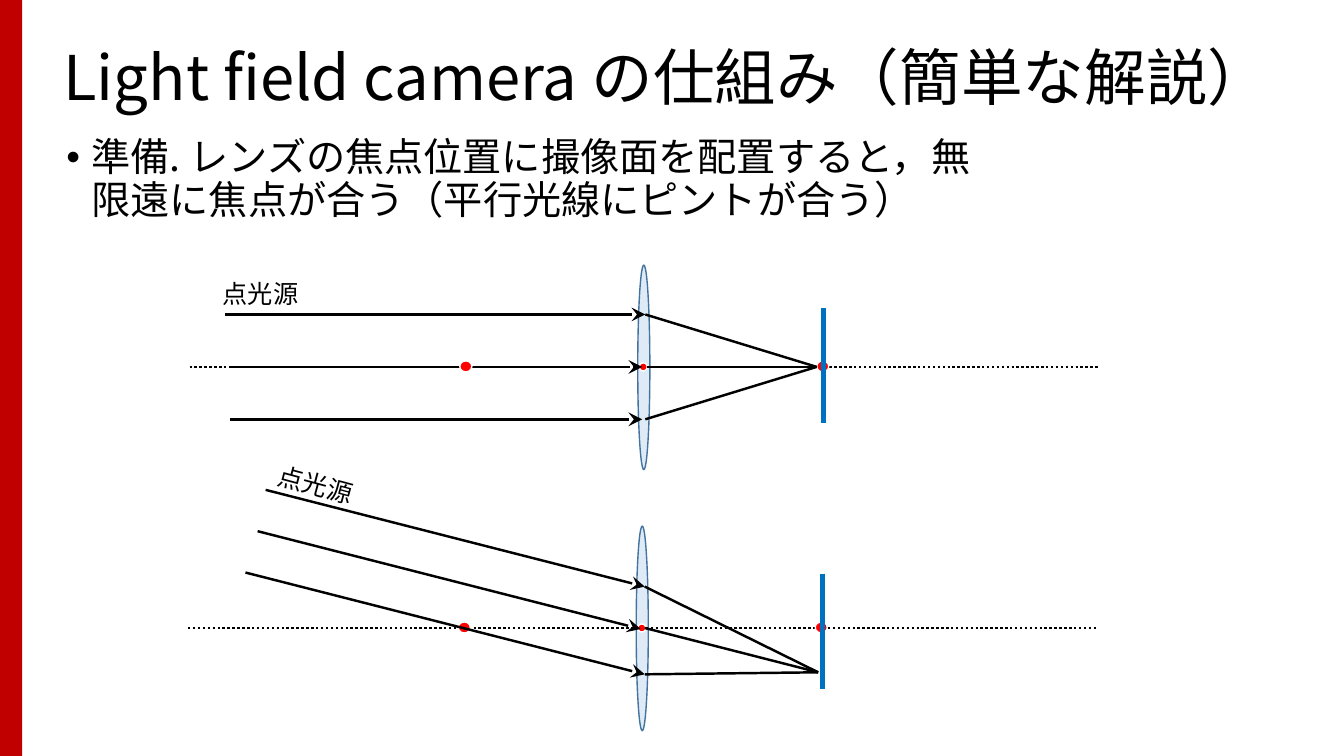
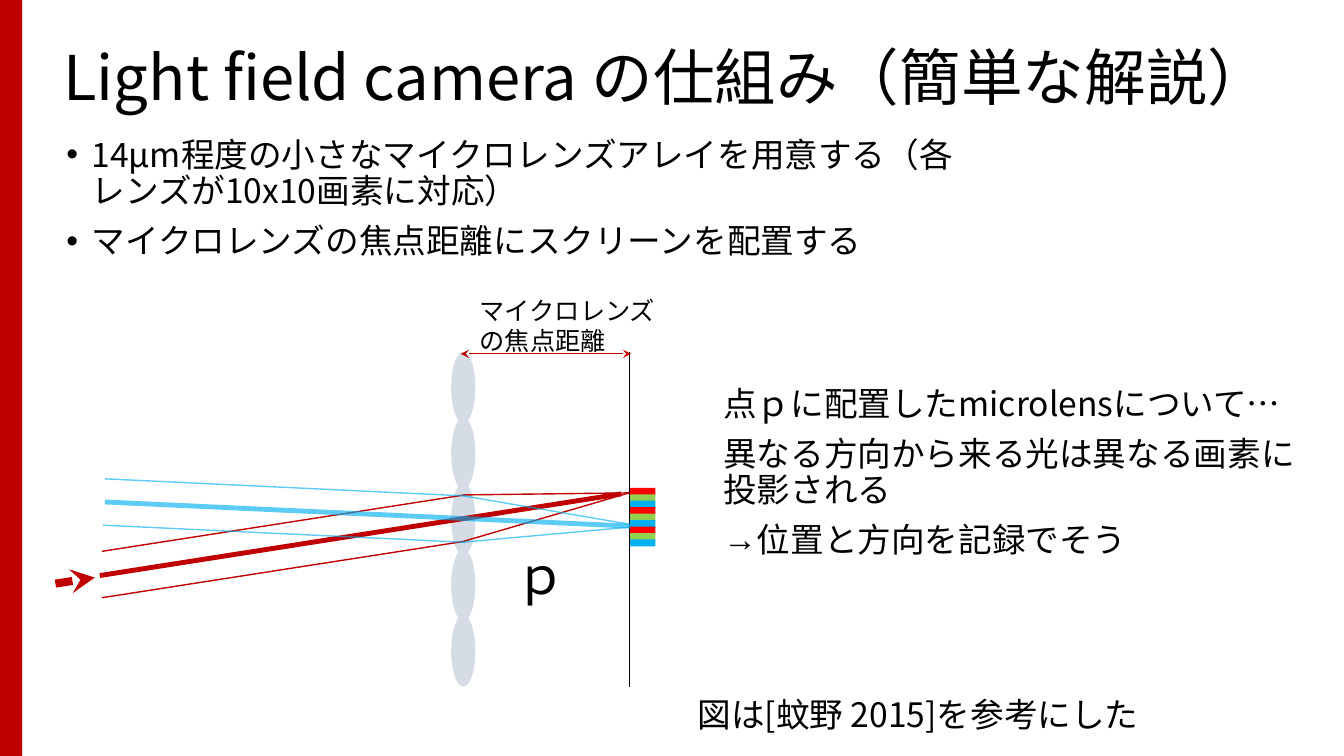
from lxml import etree
from pptx import Presentation
from pptx.dml.color import RGBColor
from pptx.enum.dml import MSO_LINE
from pptx.enum.shapes import MSO_CONNECTOR, MSO_SHAPE
from pptx.enum.text import MSO_ANCHOR, MSO_AUTO_SIZE, PP_ALIGN
from pptx.oxml.ns import qn
from pptx.util import Inches, Pt

LINE, OVAL, RECT = MSO_CONNECTOR.STRAIGHT, MSO_SHAPE.OVAL, MSO_SHAPE.RECTANGLE
DOTTED = MSO_LINE.ROUND_DOT
LEFT, TOP, MIDDLE = PP_ALIGN.LEFT, MSO_ANCHOR.TOP, MSO_ANCHOR.MIDDLE
FIXED, GROW = MSO_AUTO_SIZE.NONE, MSO_AUTO_SIZE.SHAPE_TO_FIT_TEXT

CELL = Inches(0.1)  # the grid: 133.3 columns by 75 rows
FONT = "Noto Sans CJK JP"
TITLE = "Light field camera の仕組み（簡単な解説）"
COLORS = {
    "band": "C00000", "text": "000000", "white": "FFFFFF",
    "lens": "DEEBF7", "lens_edge": "43739E", "focus": "FF0000",
    "sensor": "0070C0", "microlens": "D6DCE5",
    "red": "FF0000", "green": "92D050", "blue": "00B0F0",
}


def draw(s, kind, box, fill=None, line=None, width=1.0, dash=None,
         head=None, tail=None, arrow_size="med", alpha=None):
    """Boxes are left, top, width, height; lines are x1, y1, x2, y2."""
    box = [round(v * CELL) for v in box]
    if kind is LINE:  # identity, as LINE and RECT have equal numbers
        sp = s.shapes.add_connector(kind, *box)
    else:
        sp = s.shapes.add_shape(kind, *box)
        sp.shadow.inherit = False
        sp.fill.solid()
        sp.fill.fore_color.rgb = RGBColor.from_string(COLORS[fill])
    if line is None:
        sp.line.fill.background()
        return sp
    sp.line.color.rgb = RGBColor.from_string(COLORS[line])
    sp.line.width = Pt(width)
    if dash:
        sp.line.dash_style = dash
    ln = sp.line._get_or_add_ln()
    if alpha:
        color = ln.find(".//" + qn("a:srgbClr"))
        etree.SubElement(color, qn("a:alpha"), val=str(alpha * 1000))
    for end, arrow in (("a:headEnd", head), ("a:tailEnd", tail)):
        if arrow:
            etree.SubElement(ln, qn(end), type=arrow, w=arrow_size, len=arrow_size)
    if kind is LINE:
        etree.SubElement(sp._element.spPr, qn("a:effectLst"))
    return sp


def write(sp, box, paragraphs, size, wrap=True, spacing=0.9, before=10, anchor=TOP):
    """Each paragraph is a (bullet, text) pair; the bullet may be None."""
    sp.left, sp.top, sp.width, sp.height = [round(v * CELL) for v in box]
    tf = sp.text_frame
    frame_format = {"word_wrap": wrap, "vertical_anchor": anchor,
                    "auto_size": FIXED if wrap else GROW}
    for name, value in frame_format.items():
        setattr(tf, name, value)
    for i, (bullet, text) in enumerate(paragraphs):
        p = tf.add_paragraph() if i else tf.paragraphs[0]
        para_format = {"alignment": LEFT, "line_spacing": spacing,
                       "space_before": Pt(before if i else 0)}
        for name, value in para_format.items():
            setattr(p, name, value)
        if bullet:
            pPr = p._p.get_or_add_pPr()
            pPr.set("marL", str(Inches(0.25)))
            pPr.set("indent", str(-Inches(0.25)))
            etree.SubElement(pPr, qn("a:buFont"), typeface="Arial")
            etree.SubElement(pPr, qn("a:buChar"), char=bullet)
        r = p.add_run()
        r.text = text
        for name, value in {"name": FONT, "size": Pt(size)}.items():
            setattr(r.font, name, value)
        r.font.color.rgb = RGBColor.from_string(COLORS["text"])
        etree.SubElement(r._r.get_or_add_rPr(), qn("a:ea"), typeface=FONT)


prs = Presentation()
prs.slide_width, prs.slide_height = Inches(13.33), Inches(7.5)
layout = prs.slide_layouts.get_by_name("Title Only")

# Shared parts: the title on each slide, the band on the layout
slides = [prs.slides.add_slide(layout) for _ in range(2)]
for s in slides:
    write(s.shapes.title, (5.3, 4, 128, 8), [(None, TITLE)], 44, anchor=MIDDLE)
band = draw(slides[0], RECT, (0, 0, 2.2, 75), "band")
layout.shapes._spTree.insert(2, band._element)

# Slide 1: parallel light meets on the sensor
s = slides[0]
write(s.shapes.add_textbox(0, 0, 0, 0), (5.6, 13.2, 95.3, 17.5),
      [("•", "準備. レンズの焦点位置に撮像面を配置すると，無限遠に焦点が合う（平行光線にピントが合う）")], 28)

# Everything in a diagram is placed from the centre of its lens
diagrams = [
    {"center": (63.9, 36.4), "label": (-42.8, -9.3), "angle": 0,
     "incoming": [(-41.6, -5.2, 0.1, -5.2), (-41.1, 5.2, -0.2, 5.2), (-41.1, 0, -0.2, 0)],
     "refracted": [(0.1, -5.2), (0.1, 5.2), (0.3, 0)],
     "image": (17.1, 0), "sensor": (17.8, -5.8, 17.8, 5.6), "dots_last": True},
    {"center": (63.75, 62.3), "label": (-37.2, -16.2), "angle": 15,
     "incoming": [(-37.4, -13.7, 0.2, -4.1), (-39.4, -5.5, 0.2, 4.6), (-38.2, -9.6, -0.2, 0.1)],
     "refracted": [(0.2, -4.1), (0.2, 4.6), (0.2, 0)],
     "image": (17.4, 4.4), "sensor": (17.85, -5.4, 17.85, 6.1), "dots_last": False},
]
for d in diagrams:
    cx, cy = d["center"]
    draw(s, OVAL, (cx - 0.65, cy - 10.1, 1.2, 20.3), "lens", "lens_edge")
    draw(s, LINE, (cx - 45.1, cy, cx + 45.2, cy), line="text", width=1.75, dash=DOTTED)
    draw(s, OVAL, (cx - 0.5, cy - 0.4, 0.8, 0.8), "focus", "white")

    parts = [("ray", ray) for ray in d["incoming"]]
    dots = [("dot", x) for x in (-17.7, 17.7)]
    for part, place in parts + dots if d["dots_last"] else dots + parts:
        if part == "dot":
            draw(s, OVAL, (cx + place - 0.6, cy - 0.6, 1.2, 1.1), "focus", "white")
        else:
            x1, y1, x2, y2 = place
            draw(s, LINE, (cx + x1, cy + y1, cx + x2, cy + y2), line="text",
                 width=1.75, tail="stealth", arrow_size="lg")
    ix, iy = d["image"]
    for x, y in d["refracted"]:
        draw(s, LINE, (cx + x, cy + y, cx + ix, cy + iy), line="text", width=1.75)

    lx, ly = d["label"]
    label = s.shapes.add_textbox(0, 0, 0, 0)
    write(label, (cx + lx, cy + ly, 9.6, 4), [(None, "点光源")], 18, wrap=False, spacing=1.0)
    label.rotation = d["angle"]
    x1, y1, x2, y2 = d["sensor"]
    draw(s, LINE, (cx + x1, cy + y1, cx + x2, cy + y2), line="sensor", width=3.25)

# Slide 2: microlens array
s = slides[1]
write(s.shapes.add_textbox(0, 0, 0, 0), (5.6, 13.2, 92.7, 17.5),
      [("•", "14μm程度の小さなマイクロレンズアレイを用意する（各レンズが10x10画素に対応）"),
       ("•", "マイクロレンズの焦点距離にスクリーンを配置する")], 24)
for i in range(5):
    draw(s, OVAL, (44.75, 34.9 + 6.53 * i, 2.4, 7.1), "microlens")

# Screen and focal length
draw(s, LINE, (62.45, 34.9, 62.45, 68.2), line="text", width=0.5)
draw(s, LINE, (45.7, 35.1, 62.6, 35.1), line="band", head="stealth", tail="stealth")
write(s.shapes.add_textbox(0, 0, 0, 0), (46.6, 28.8, 19.7, 7.1),
      [(None, "マイクロレンズ"), (None, "の焦点距離")], 18, wrap=False, spacing=1.0, before=0)

# Two bundles of light, the main ray of each drawn thick
bundles = [
    ("band", None, [(9.9, 57.1, 61.6, 49, 3.5), (10.1, 54.7, 46.1, 49.1, 1),
                    (10.1, 59.3, 46.1, 53.7, 1), (46, 49.1, 62.4, 48.9, 1),
                    (46, 53.7, 62.4, 48.9, 1)]),
    ("blue", 64, [(10.4, 49.8, 62.5, 52.2, 3.5), (10.2, 52.1, 46.1, 53.8, 1),
                  (10.4, 47.5, 46.1, 49.2, 1), (46, 49.2, 62.4, 52, 1),
                  (45.8, 53.8, 62.4, 52.3, 1)]),
]
for color, alpha, rays in bundles:
    for *ends, width in rays:
        draw(s, LINE, ends, line=color, width=width, alpha=alpha)
draw(s, LINE, (5.5, 57.9, 9.4, 57.3), line="band", width=5.75, tail="stealth")

# Pixels behind the microlens
for i, color in enumerate(["red", "green", "blue"] * 3):
    draw(s, RECT, (62.5, 48.4 + 0.64 * i, 2.5, 0.7), color)

# Explanations
write(s.shapes.add_textbox(0, 0, 0, 0), (70.75, 37.9, 61.2, 27.6),
      [(None, "点ｐに配置したmicrolensについて…"),
       (None, "異なる方向から来る光は異なる画素に投影される"),
       ("→", "位置と方向を記録でそう")], 24)
write(s.shapes.add_textbox(0, 0, 0, 0), (50.1, 53.5, 7.1, 7.1),
      [(None, "ｐ")], 36, wrap=False, spacing=1.0)
write(s.shapes.add_textbox(0, 0, 0, 0), (68.2, 68.8, 61.2, 5.1),
      [(None, "図は[蚊野 2015]を参考にした")], 24)

prs.save("out.pptx")
